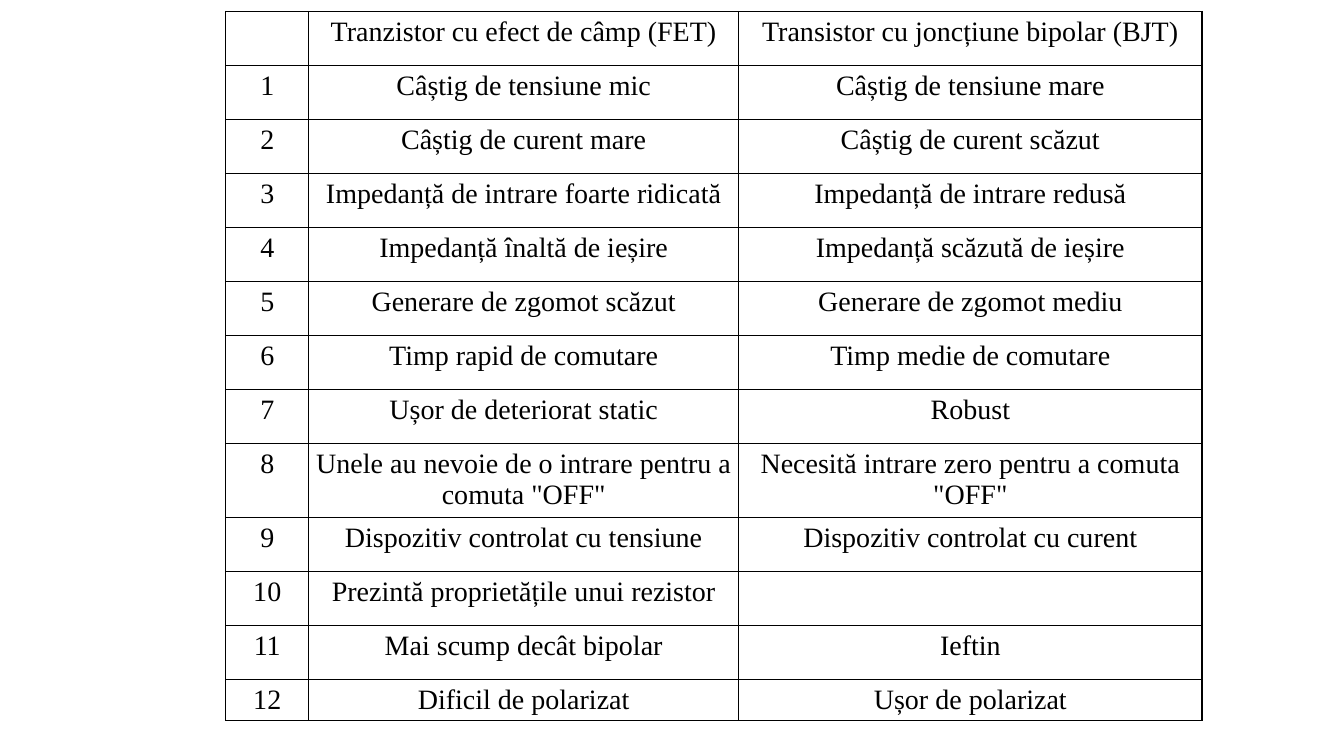
"""Build a slide with a table that compares FET and BJT transistors."""
import dataclasses

import pptx
import pptx.dml.color
import pptx.enum.text
import pptx.oxml
import pptx.oxml.ns
import pptx.slide
import pptx.table
import pptx.util

Cm = pptx.util.Cm
BLACK = "000000"
WIDTHS = (2.09, 10.84, 11.67)


@dataclasses.dataclass(frozen=True)
class Row:
    label: str
    fet: str
    bjt: str
    height: float = 1.36


ROWS = (
    Row("", "Tranzistor cu efect de câmp (FET)", "Transistor cu joncțiune bipolar (BJT)"),
    Row("1", "Câștig de tensiune mic", "Câștig de tensiune mare"),
    Row("2", "Câștig de curent mare", "Câștig de curent scăzut"),
    Row("3", "Impedanță de intrare foarte ridicată", "Impedanță de intrare redusă"),
    Row("4", "Impedanță înaltă de ieșire", "Impedanță scăzută de ieșire"),
    Row("5", "Generare de zgomot scăzut", "Generare de zgomot mediu"),
    Row("6", "Timp rapid de comutare", "Timp medie de comutare"),
    Row("7", "Ușor de deteriorat static", "Robust"),
    Row("8", 'Unele au nevoie de o intrare pentru a comuta "OFF"',
        'Necesită intrare zero pentru a comuta "OFF"', 1.87),
    Row("9", "Dispozitiv controlat cu tensiune", "Dispozitiv controlat cu curent"),
    Row("10", "Prezintă proprietățile unui rezistor", ""),
    Row("11", "Mai scump decât bipolar", "Ieftin"),
    Row("12", "Dificil de polarizat", "Ușor de polarizat", 0.86),
)

FONT = {"name": "Times New Roman", "size": pptx.util.Pt(20), "bold": False}
INSETS = {"margin_left": Cm(0.05), "margin_right": Cm(0.05),
          "margin_top": Cm(0.13), "margin_bottom": Cm(0.13)}
PLAIN = {"first_row": False, "horz_banding": False}


def color(code: str) -> pptx.dml.color.RGBColor:
    return pptx.dml.color.RGBColor.from_string(code)


def assign(target: object, values: dict) -> None:
    for name, value in values.items():
        setattr(target, name, value)


def frame(cell: pptx.table._Cell) -> None:
    props = cell._tc.get_or_add_tcPr()
    for side in "LRTB":
        props.append(pptx.oxml.parse_xml(
            f'<a:ln{side} {pptx.oxml.ns.nsdecls("a")} w="{pptx.util.Pt(1)}">'
            f'<a:solidFill><a:srgbClr val="{BLACK}"/></a:solidFill></a:ln{side}>'))


def write(cell: pptx.table._Cell, text: str) -> None:
    frame(cell)
    cell.fill.background()
    assign(cell, INSETS)
    cell.text = text
    para = cell.text_frame.paragraphs[0]
    para.alignment = pptx.enum.text.PP_ALIGN.CENTER
    assign(para.font, FONT)
    para.font.color.rgb = color(BLACK)


def draw(slide: pptx.slide.Slide, rows: tuple[Row, ...]) -> None:
    total = sum(row.height for row in rows)
    table = slide.shapes.add_table(len(rows), len(WIDTHS), Cm(5.69), Cm(0.29),
                                   Cm(sum(WIDTHS)), Cm(total)).table
    assign(table, PLAIN)
    for column, width in zip(table.columns, WIDTHS):
        column.width = Cm(width)
    for line, row in zip(table.rows, rows):
        line.height = Cm(row.height)
        for cell, text in zip(line.cells, (row.label, row.fet, row.bjt)):
            write(cell, text)


def main() -> None:
    deck = pptx.Presentation()
    assign(deck, {"slide_width": Cm(33.87), "slide_height": Cm(19.05)})
    draw(deck.slides.add_slide(deck.slide_layouts[6]), ROWS)
    deck.save("out.pptx")


if __name__ == "__main__":
    main()
